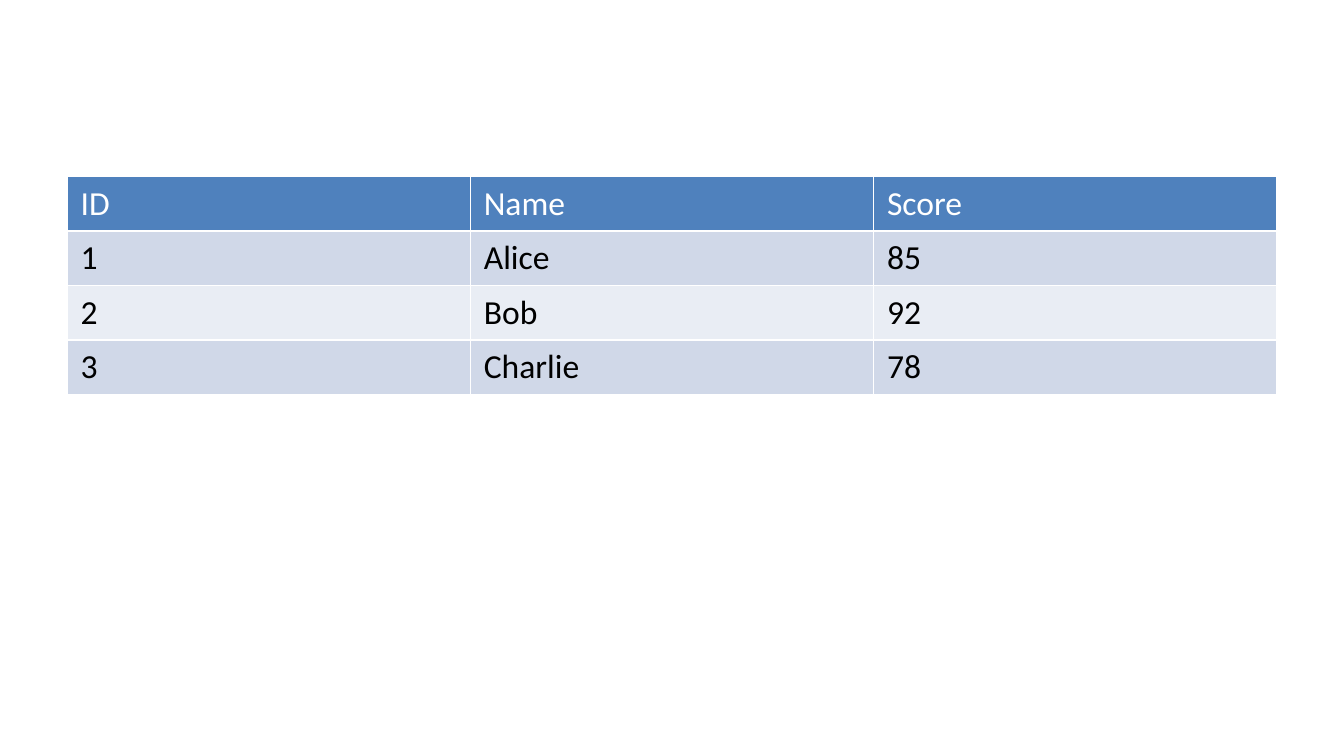
from dataclasses import dataclass

from lxml.etree import SubElement as Sub
from pptx import Presentation
from pptx.dml.color import RGBColor as Rgb
from pptx.oxml.ns import qn
from pptx.util import Inches, Pt


@dataclass(frozen=True)
class Theme:
    font: str = "Calibri"
    size: int = 18
    header_fill: str = "4F81BD"
    header_text: str = "FFFFFF"
    body_text: str = "000000"
    bands: tuple = ("D0D8E8", "E9EDF4")
    rule: str = "FFFFFF"
    rule_width: int = 1


THEME = Theme()
WIDTH = Inches(10)
HEIGHT = WIDTH * 9 // 16
MARGIN = 0.05
TABLE_TOP = 7 / 30
TABLE_HEIGHT = 0.66

SCORES = [
    ("ID", "Name", "Score"),
    ("1", "Alice", "85"),
    ("2", "Bob", "92"),
    ("3", "Charlie", "78"),
]


def add_borders(cell):
    properties = cell._tc.get_or_add_tcPr()
    for side in "LRTB":
        rule = Sub(properties, qn(f"a:ln{side}"), w=str(Pt(THEME.rule_width)))
        Sub(Sub(rule, qn("a:solidFill")), qn("a:srgbClr"), val=THEME.rule)


def fill_cell(cell, words, fill, colour):
    cell.fill.solid()
    cell.fill.fore_color.rgb = Rgb.from_string(fill)
    run = cell.text_frame.paragraphs[0].add_run()
    run.text = words
    run.font.name = THEME.font
    run.font.size = Pt(THEME.size)
    run.font.bold = False
    run.font.color.rgb = Rgb.from_string(colour)


def add_score_table(slide, records):
    frame = slide.shapes.add_table(
        len(records), len(records[0]),
        int(WIDTH * MARGIN), int(HEIGHT * TABLE_TOP),
        int(WIDTH * (1 - 2 * MARGIN)), 0,
    )
    frame.height = int(HEIGHT * TABLE_HEIGHT)
    for row, record in enumerate(records):
        is_header = row == 0
        fill = THEME.header_fill if is_header else THEME.bands[(row - 1) % 2]
        colour = THEME.header_text if is_header else THEME.body_text
        for column, words in enumerate(record):
            cell = frame.table.cell(row, column)
            add_borders(cell)
            fill_cell(cell, words, fill, colour)


def main():
    deck = Presentation()
    deck.slide_width, deck.slide_height = WIDTH, HEIGHT
    slide = deck.slides.add_slide(deck.slide_layouts[6])
    add_score_table(slide, SCORES)
    deck.save("out.pptx")


if __name__ == "__main__":
    main()
